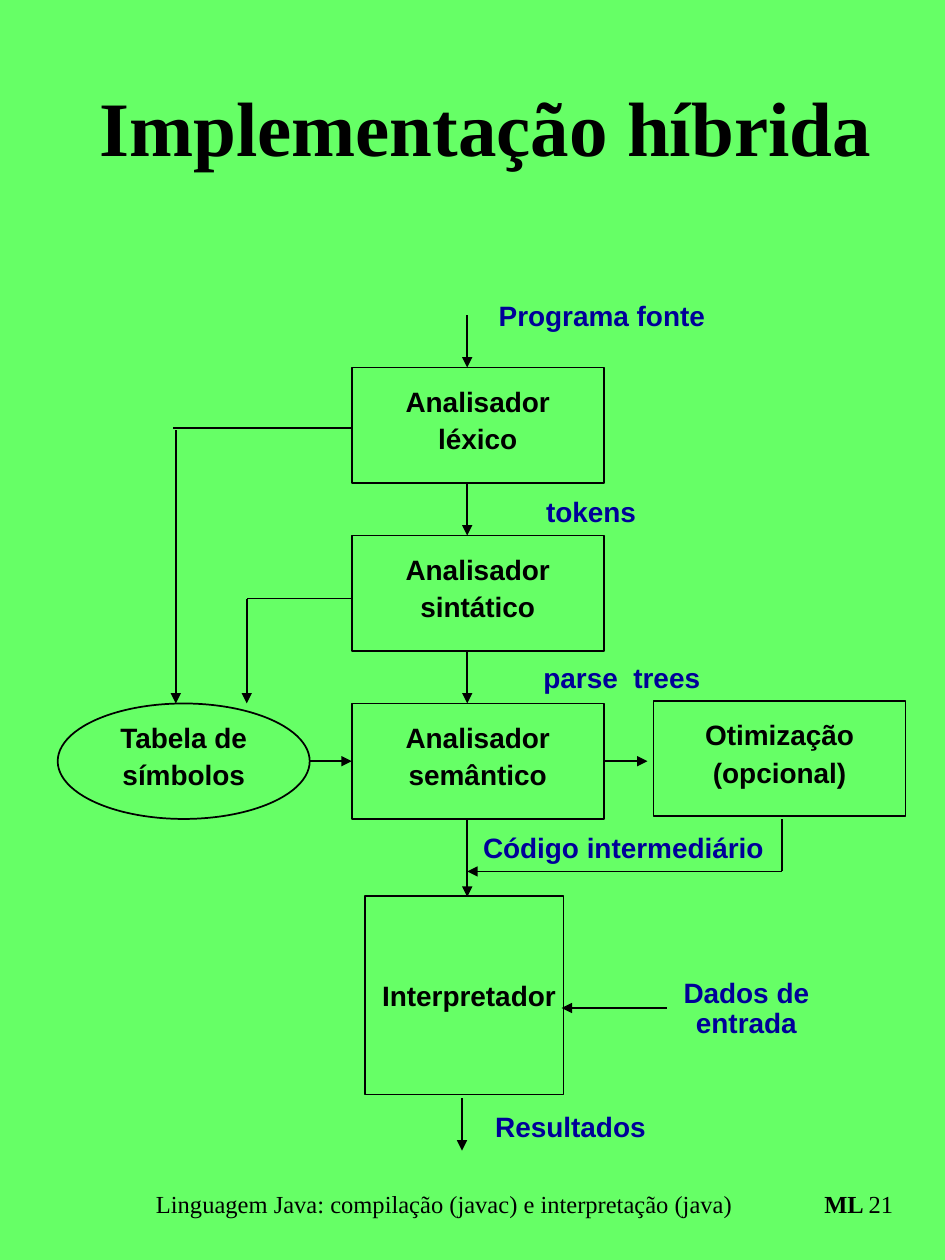
import lxml.etree
import pptx
import pptx.dml.color
import pptx.enum.shapes
import pptx.enum.text
import pptx.oxml.ns
import pptx.util

Pt = pptx.util.Pt
ALIGN = pptx.enum.text.PP_ALIGN
ANCHOR = pptx.enum.text.MSO_ANCHOR
FIT = pptx.enum.text.MSO_AUTO_SIZE
SHAPE = pptx.enum.shapes.MSO_SHAPE
GREEN = pptx.dml.color.RGBColor(0x66, 0xFF, 0x66)
BLACK = pptx.dml.color.RGBColor(0, 0, 0)
NAVY = pptx.dml.color.RGBColor(0, 0, 0x99)

LABEL_FONT = {"name": "Arial", "size": Pt(16), "bold": True}
TITLE_FONT = {"name": "Times New Roman", "size": Pt(44), "bold": True}
FOOTER_FONT = {"name": "Times New Roman", "size": Pt(14), "bold": False}
TIGHT = {"margin_left": 0, "margin_top": 0, "margin_right": 0, "margin_bottom": 0,
         "word_wrap": True, "auto_size": FIT.NONE}
MIDDLE = {"vertical_anchor": ANCHOR.MIDDLE, "auto_size": FIT.NONE}

STAGE_LEFT, STAGE_TOP, STAGE_STEP = 201, 210, 96
NODE_WIDTH, NODE_HEIGHT, PADDING = 144, 66, 12
FLOW_X = 267
ROW_MIDDLE = STAGE_TOP + 2 * STAGE_STEP + NODE_HEIGHT / 2


def set_all(target, values):
    """Set every attribute named in a dict."""
    for name, value in values.items():
        setattr(target, name, value)


def set_font(span, values, colour):
    """Format a run or paragraph font."""
    set_all(span.font, values)
    span.font.color.rgb = colour


def add_title(page, text):
    """Fill and place the title placeholder."""
    title = page.shapes.title
    set_all(title, {"left": Pt(49.5), "top": Pt(36), "width": Pt(459.5), "height": Pt(72)})
    set_all(title.text_frame, {**MIDDLE, "word_wrap": True})
    para = title.text_frame.paragraphs[0]
    para.alignment = ALIGN.LEFT
    span = para.add_run()
    span.text = text
    set_font(span, TITLE_FONT, BLACK)


def add_label(page, lines, left, top, width, height, colour=NAVY, align=ALIGN.LEFT):
    """Add a tight text box with one paragraph per line."""
    box = page.shapes.add_textbox(Pt(left), Pt(top), Pt(width), Pt(height))
    set_all(box.text_frame, TIGHT)
    for index, line in enumerate(lines):
        para = box.text_frame.add_paragraph() if index else box.text_frame.paragraphs[0]
        set_all(para, {"alignment": align, "line_spacing": 0.9, "space_before": Pt(4 if index else 0)})
        span = para.add_run()
        span.text = line
        set_font(span, LABEL_FONT, colour)


def add_outline(page, kind, left, top, width, height):
    """Add an unfilled outlined shape."""
    box = page.shapes.add_shape(kind, Pt(left), Pt(top), Pt(width), Pt(height))
    box.shadow.inherit = False
    box.fill.background()
    box.line.color.rgb = BLACK
    box.line.width = Pt(1)
    return box


def add_node(page, lines, left, top, kind=SHAPE.RECTANGLE):
    """Add a standard outlined node with its centred label."""
    box = add_outline(page, kind, left, top, NODE_WIDTH, NODE_HEIGHT)
    add_label(page, lines, left + PADDING, top + PADDING, NODE_WIDTH - 2 * PADDING,
              NODE_HEIGHT - 2 * PADDING, BLACK, ALIGN.CENTER)
    return box


def add_line(page, start, end, arrow=True):
    """Add a straight line, with an arrowhead at its end if wanted."""
    line = page.shapes.add_connector(
        pptx.enum.shapes.MSO_CONNECTOR.STRAIGHT, *map(Pt, (*start, *end)))
    line.line.color.rgb = BLACK
    line.line.width = Pt(1)
    properties = line._element.spPr
    if arrow:
        lxml.etree.SubElement(line.line._get_or_add_ln(), pptx.oxml.ns.qn("a:tailEnd"), type="triangle")
    lxml.etree.SubElement(properties, pptx.oxml.ns.qn("a:effectLst"))
    return line


def add_footer(page, parts, left, width, align):
    """Add a footer text box from (text, bold) parts."""
    box = page.shapes.add_textbox(Pt(left), Pt(664), Pt(width), Pt(48))
    set_all(box.text_frame, {**MIDDLE, "word_wrap": False})
    para = box.text_frame.paragraphs[0]
    para.alignment = align
    for text, bold in parts:
        span = para.add_run()
        span.text = text
        set_font(span, {**FOOTER_FONT, "bold": bold}, BLACK)


def add_nodes(page):
    """Add the stages, the side nodes and the arrows joined to them."""
    for index, name in enumerate(("léxico", "sintático", "semântico")):
        stage = add_node(page, ("Analisador", name), STAGE_LEFT, STAGE_TOP + index * STAGE_STEP)
    add_node(page, ("Tabela de", "símbolos"), 33, 402, SHAPE.OVAL)
    add_node(page, ("Otimização", "(opcional)"), 373.5, 400.5)
    add_outline(page, SHAPE.RECTANGLE, 208.5, 512, 113.5, 113.5)
    add_label(page, ("Interpretador",), 212, 561.5, 112, 17, BLACK, ALIGN.CENTER)
    add_line(page, (177, ROW_MIDDLE), (STAGE_LEFT, ROW_MIDDLE)).end_connect(stage, 1)
    add_line(page, (345, ROW_MIDDLE), (370, ROW_MIDDLE)).begin_connect(stage, 3)


def add_flow(page):
    """Add the free lines and arrows."""
    for index in range(3):
        end = STAGE_TOP + index * STAGE_STEP
        add_line(page, (FLOW_X, end - 30), (FLOW_X, end))
    for start, end, arrow in (
        ((FLOW_X, 468), (FLOW_X, 512.5), True),
        ((447, 468), (447, 498), False),
        ((447, 498), (FLOW_X, 498), True),
        ((STAGE_LEFT, 342), (141, 342), False),
        ((141, 342), (141, 402), True),
        ((STAGE_LEFT, 244.5), (99, 244.5), False),
        ((100.5, 246), (100.5, 402), True),
        ((264, 627.5), (264, 657.5), True),
        ((381, 576), (321, 576), True),
    ):
        add_line(page, start, end, arrow)


def add_captions(page):
    """Add the blue names of the data that flow between stages."""
    for text, left, top, width, height, align in (
        ("Programa fonte", 285, 172.5, 119, 15, ALIGN.LEFT),
        ("tokens", 312, 285, 57, 18, ALIGN.LEFT),
        ("parse  trees", 310.5, 379.5, 101, 16.5, ALIGN.LEFT),
        ("Código intermediário", 276, 477, 168, 22.5, ALIGN.LEFT),
        ("Resultados", 270, 636, 112, 17, ALIGN.CENTER),
        ("Dados de entrada", 370.5, 559.5, 112, 34.5, ALIGN.CENTER),
    ):
        add_label(page, (text,), left, top, width, height, NAVY, align)


def main():
    """Build and save the slide."""
    deck = pptx.Presentation()
    set_all(deck, {"slide_width": Pt(540), "slide_height": Pt(720)})
    page = deck.slides.add_slide(deck.slide_layouts[5])
    page.background.fill.solid()
    page.background.fill.fore_color.rgb = GREEN
    add_title(page, "Implementação híbrida")
    add_nodes(page)
    add_flow(page)
    add_captions(page)
    add_footer(page, (("Linguagem Java: compilação (javac) e interpretação (java)", False),),
               50.5, 407, ALIGN.CENTER)
    add_footer(page, (("ML ", True), ("21", False)), 462, 55.5, ALIGN.RIGHT)
    deck.save("out.pptx")


if __name__ == "__main__":
    main()
